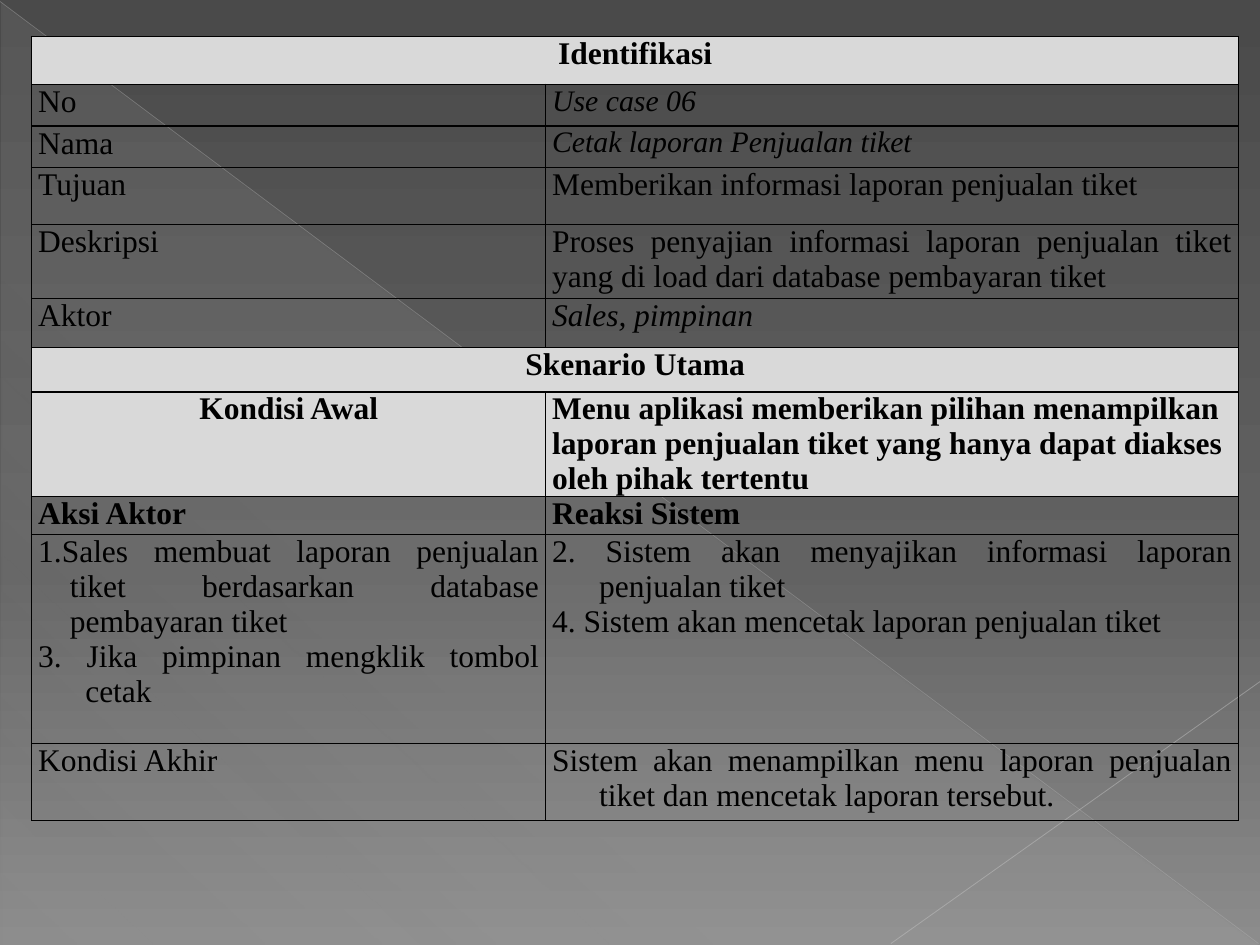
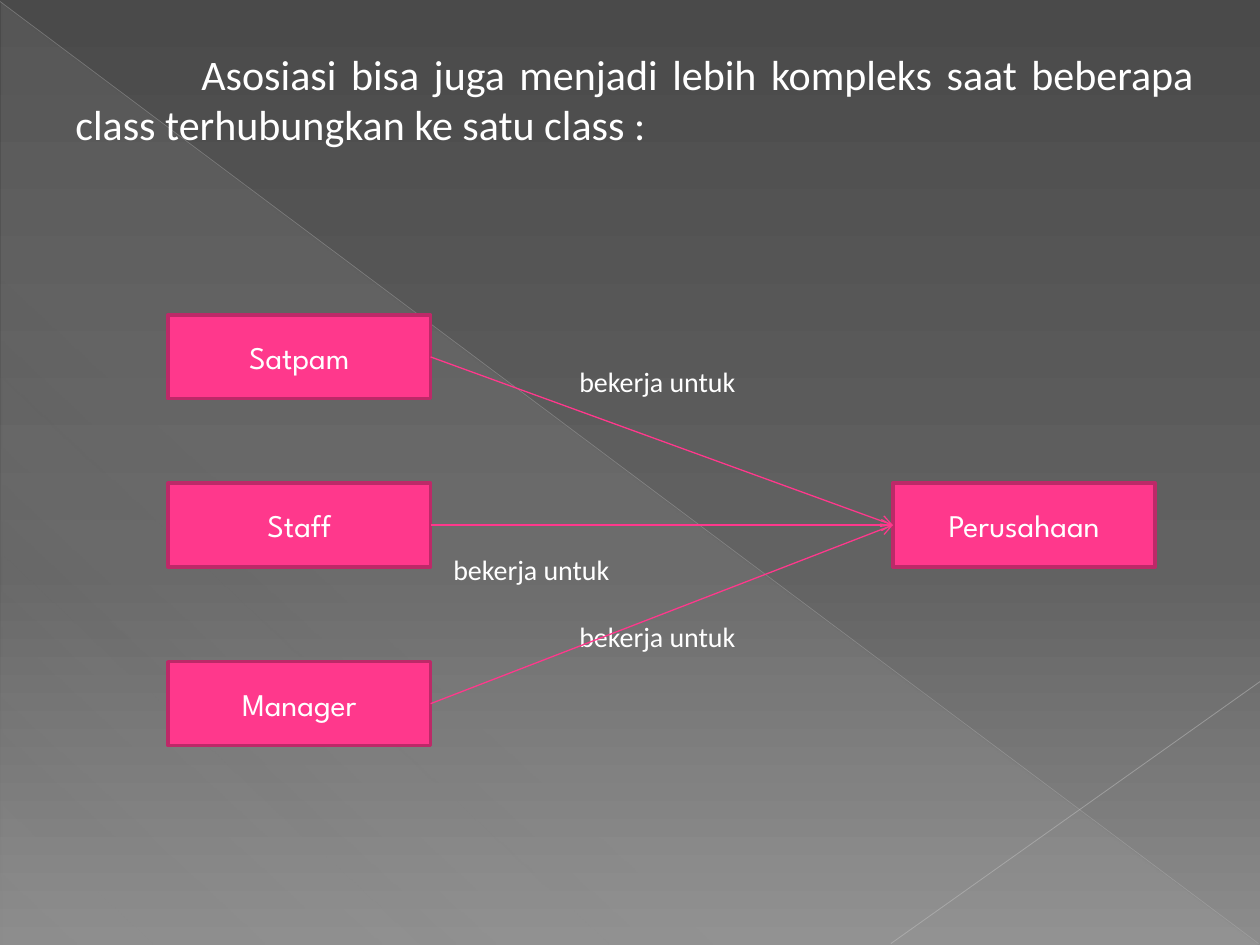
from dataclasses import dataclass

from lxml.etree import SubElement
from pptx import Presentation
from pptx.dml.color import RGBColor
from pptx.enum.shapes import MSO_CONNECTOR as Connector, MSO_SHAPE as Shape
from pptx.enum.text import MSO_ANCHOR as Anchor, PP_ALIGN as Align
from pptx.oxml.ns import qn
from pptx.util import Cm, Pt

COLOURS = {
    "triangle": "D2D2D2", "diagonal": "BFBFBF", "corner": "C6C6C6",
    "band": "D9D9D9", "black": "000000", "white": "FFFFFF",
    "pink": "FF388C", "pink_edge": "BD2968",
}
BACKGROUND_STOPS = [(0, "4A4A4A", 100), (60, "626262", 100), (100, "8C8C8C", 100)]
TRIANGLE_STOPS = [(at, COLOURS["triangle"], alpha) for at, alpha in ((0, 10), (70, 8), (100, 1))]
TABLE_FONT, BODY_FONT, BOX_FONT = "Times New Roman", "Calibri", "League Spartan"
SMALL_HANG, HANG = 0.64, 0.95
COLUMN_WIDTHS = (10.36, 13.97)
BOX_WIDTH, BOX_HEIGHT = 5.29, 1.69


@dataclass
class Line:
    text: str
    size: int = 18
    bold: bool = False
    italic: bool = False
    align: Align = Align.JUSTIFY
    hang: float = 0


@dataclass
class Row:
    height: float
    cells: list[list[Line]]
    shaded: bool = False


@dataclass
class ClassBox:
    name: str
    left: float
    top: float

    @property
    def middle(self) -> float:
        return self.top + BOX_HEIGHT / 2


@dataclass
class Label:
    text: str
    left: float
    top: float


def heading(text: str) -> list[Line]:
    return [Line(text, bold=True, align=Align.CENTER)]


IDENTIFICATION_ROWS = [
    Row(0.96, [heading("Identifikasi")], True),
    Row(0.84, [[Line("No")], [Line("Use case 06", 17, italic=True)]]),
    Row(0.84, [[Line("Nama")], [Line("Cetak laporan Penjualan tiket", 17, italic=True)]]),
    Row(1.15, [[Line("Tujuan")], [Line("Memberikan informasi laporan penjualan tiket")]]),
    Row(1.49, [[Line("Deskripsi")],
               [Line("Proses penyajian informasi laporan penjualan tiket "
                     "yang di load dari database pembayaran tiket")]]),
    Row(0.99, [[Line("Aktor")], [Line("Sales, pimpinan", italic=True)]]),
    Row(0.89, [heading("Skenario Utama")], True),
    Row(2.11, [heading("Kondisi Awal"),
               [Line("Menu aplikasi memberikan pilihan menampilkan laporan penjualan "
                     "tiket yang hanya dapat diakses oleh pihak tertentu",
                     bold=True, align=Align.LEFT)]], True),
    Row(0.77, [[Line("Aksi Aktor", bold=True)], [Line("Reaksi Sistem", bold=True)]]),
    Row(4.21, [[Line("1.Sales membuat laporan penjualan tiket berdasarkan "
                     "database pembayaran tiket", hang=SMALL_HANG),
                Line("3. Jika pimpinan mengklik tombol cetak", hang=HANG)],
               [Line("2. Sistem akan menyajikan informasi laporan penjualan tiket", hang=HANG),
                Line("4. Sistem akan mencetak laporan penjualan tiket", hang=HANG)]]),
    Row(1.55, [[Line("Kondisi Akhir")],
               [Line("Sistem akan menampilkan menu laporan penjualan tiket "
                     "dan mencetak laporan tersebut.", hang=HANG)]]),
]
WORKERS = [ClassBox("Satpam", 3.39, 6.35), ClassBox("Staff", 3.39, 9.74),
           ClassBox("Manager", 3.39, 13.34)]
COMPANY = ClassBox("Perusahaan", 18, 9.74)
LABELS = [Label("bekerja untuk", left, top)
          for left, top in ((11.68, 7.34), (9.14, 11.13), (11.68, 12.48))]


def rgb(name: str) -> RGBColor:
    return RGBColor.from_string(COLOURS[name])


def fill_gradient(grad, stops: list, angle: int) -> None:
    """Replace the content of a gradFill element."""
    for child in list(grad):
        grad.remove(child)
    stop_list = SubElement(grad, qn("a:gsLst"))
    for position, colour, alpha in stops:
        stop = SubElement(stop_list, qn("a:gs"), pos=str(position * 1000))
        tone = SubElement(stop, qn("a:srgbClr"), val=colour)
        SubElement(tone, qn("a:alpha"), val=str(alpha * 1000))
    SubElement(grad, qn("a:lin"), ang=str(angle * 60000), scaled="0")


def format_span(span, font: str, size: int, colour: str,
                bold: bool = False, italic: bool = False) -> None:
    span.font.name, span.font.size = font, Pt(size)
    span.font.bold, span.font.italic = bold, italic
    span.font.color.rgb = rgb(colour)


def indent(para, left: float, first: float) -> None:
    props = para._p.get_or_add_pPr()
    props.set("marL", str(Cm(left)))
    props.set("indent", str(Cm(first)))


def add_line(page, start: tuple, end: tuple, colour: str, width: float,
             alpha: int = 100, arrow: bool = False) -> None:
    line = page.shapes.add_connector(Connector.STRAIGHT, *map(Cm, start + end))
    line.line.color.rgb = rgb(colour)
    line.line.width = Pt(width)
    props = line._element.spPr
    tone = props.find(".//" + qn("a:srgbClr"))
    SubElement(tone, qn("a:alpha"), val=str(alpha * 1000))
    if arrow:
        SubElement(props.find(qn("a:ln")), qn("a:tailEnd"), type="arrow")
    SubElement(props, qn("a:effectLst"))


def add_page(deck):
    """Add a blank page with the shared backdrop."""
    page = deck.slides.add_slide(deck.slide_layouts[6])
    page.background.fill.gradient()
    fill_gradient(page.element.find(".//" + qn("a:gradFill")), BACKGROUND_STOPS, 90)
    triangle = page.shapes.add_shape(Shape.RIGHT_TRIANGLE, Cm(0.03), Cm(0.05), Cm(25.35), Cm(19))
    triangle.shadow.inherit = False
    triangle.line.fill.background()
    triangle.fill.gradient()
    fill_gradient(triangle._element.spPr.find(qn("a:gradFill")), TRIANGLE_STOPS, 133)
    add_line(page, (0, 0.03), (25.37, 19.02), "diagonal", 0.39, 35)
    add_line(page, (25.4, 13.74), (17.96, 19.02), "corner", 0.47, 45)
    return page


def add_text(page, text: str, left: float, top: float, width: float,
             height: float, size: int):
    box = page.shapes.add_textbox(Cm(left), Cm(top), Cm(width), Cm(height))
    frame = box.text_frame
    frame.word_wrap = True
    frame.margin_left = frame.margin_right = frame.margin_top = frame.margin_bottom = 0
    frame.text = text
    para = frame.paragraphs[0]
    para.alignment = Align.JUSTIFY
    format_span(para.runs[0], BODY_FONT, size, "white")
    return para


def style_cell(cell, shaded: bool) -> None:
    cell.margin_left = cell.margin_right = Cm(0.13)
    cell.margin_top = cell.margin_bottom = 0
    if shaded:
        cell.fill.solid()
        cell.fill.fore_color.rgb = rgb("band")
    else:
        cell.fill.background()
    props = cell._tc.get_or_add_tcPr()
    for index, side in enumerate(("lnL", "lnR", "lnT", "lnB")):
        border = SubElement(props, qn("a:" + side), w=str(Pt(1)))
        tone = SubElement(border, qn("a:solidFill"))
        SubElement(tone, qn("a:srgbClr"), val=COLOURS["black"])
        props.insert(index, border)


def write_cell(cell, lines: list[Line]) -> None:
    cell.text_frame.text = "\n".join(line.text for line in lines)
    for para, line in zip(cell.text_frame.paragraphs, lines):
        para.alignment = line.align
        indent(para, line.hang, -line.hang)
        format_span(para.runs[0], TABLE_FONT, line.size, "black", line.bold, line.italic)


def add_use_case_table(page, rows: list[Row]) -> None:
    frame = page.shapes.add_table(len(rows), len(COLUMN_WIDTHS), Cm(0.64), Cm(0.74),
                                  Cm(sum(COLUMN_WIDTHS)), Cm(sum(row.height for row in rows)))
    table = frame.table
    table.first_row = table.horz_banding = False
    for column, width in zip(table.columns, COLUMN_WIDTHS):
        column.width = Cm(width)
    for index, row in enumerate(rows):
        table.rows[index].height = Cm(row.height)
        cells = list(table.rows[index].cells)
        for cell in cells:
            style_cell(cell, row.shaded)
        if len(row.cells) == 1:
            cells[0].merge(cells[-1])
        for cell, lines in zip(cells, row.cells):
            write_cell(cell, lines)


def add_class_box(page, item: ClassBox) -> None:
    box = page.shapes.add_shape(Shape.RECTANGLE, Cm(item.left), Cm(item.top),
                                Cm(BOX_WIDTH), Cm(BOX_HEIGHT))
    box.shadow.inherit = False
    box.fill.solid()
    box.fill.fore_color.rgb = rgb("pink")
    box.line.color.rgb = rgb("pink_edge")
    box.line.width = Pt(2)
    box.text_frame.text = item.name
    box.text_frame.vertical_anchor = Anchor.MIDDLE
    para = box.text_frame.paragraphs[0]
    para.alignment = Align.CENTER
    format_span(para.runs[0], BOX_FONT, 18, "white")


def add_association_page(deck) -> None:
    page = add_page(deck)
    # Introduction with an indented first line
    intro = add_text(page, "Asosiasi bisa juga menjadi lebih kompleks saat beberapa "
                     "class terhubungkan ke satu class :", 1.52, 0.97, 22.55, 2.2, 24)
    indent(intro, 0, 2.54)
    # Labels, classes and their associations
    for label in LABELS:
        add_text(page, label.text, label.left, label.top, 4, 0.7, 16)
    for item in WORKERS + [COMPANY]:
        add_class_box(page, item)
    for worker in WORKERS:
        add_line(page, (worker.left + BOX_WIDTH, worker.middle),
                 (COMPANY.left, COMPANY.middle), "pink", 0.75, arrow=True)


def main() -> None:
    deck = Presentation()
    deck.slide_width, deck.slide_height = Cm(25.4), Cm(19.05)
    add_use_case_table(add_page(deck), IDENTIFICATION_ROWS)
    add_association_page(deck)
    deck.save("out.pptx")


if __name__ == "__main__":
    main()
